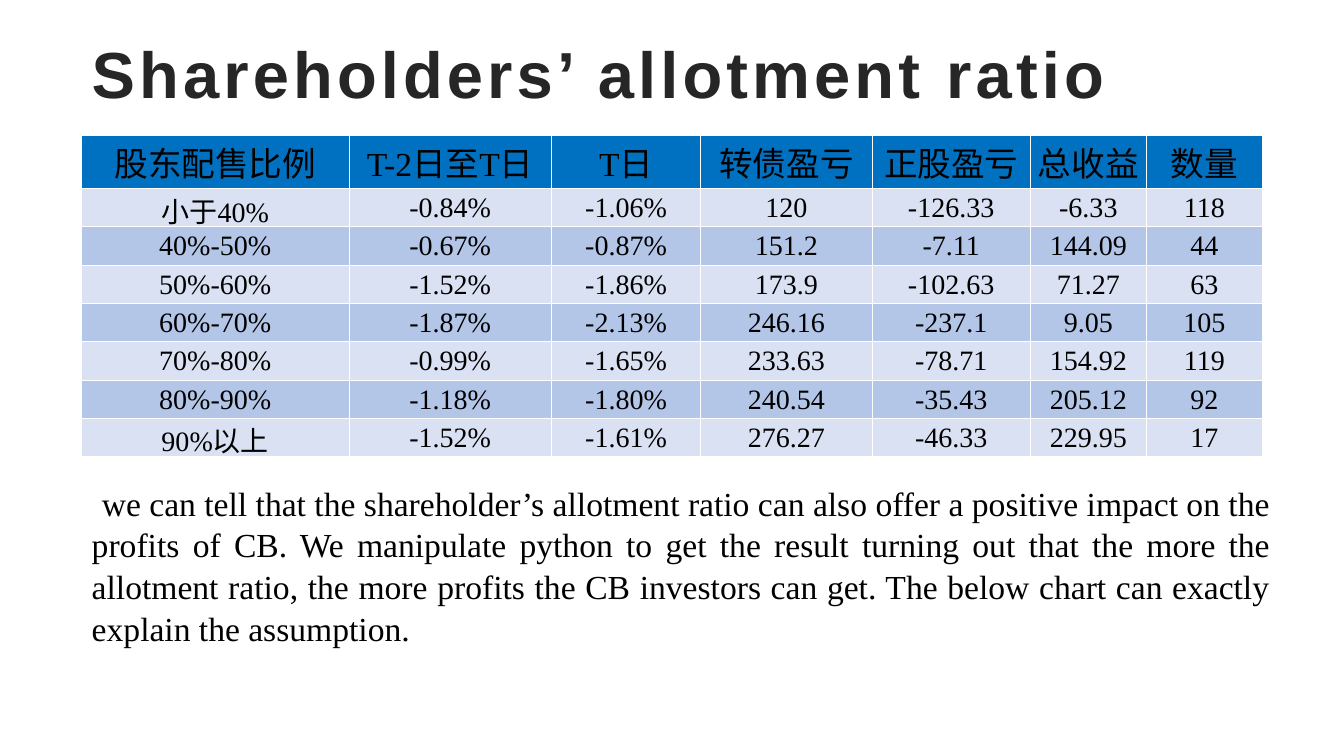
import itertools

import pptx
import pptx.dml.color
import pptx.enum.text
import pptx.oxml
import pptx.oxml.ns
import pptx.util

Inches = pptx.util.Inches
Pt = pptx.util.Pt
ALIGN = pptx.enum.text.PP_ALIGN
ANCHOR = pptx.enum.text.MSO_ANCHOR

HEADINGS = ["股东配售比例", "T-2日至T日", "T日", "转债盈亏", "正股盈亏", "总收益", "数量"]
ALLOTMENT_ROWS = [
    ["小于40%", "-0.84%", "-1.06%", "120", "-126.33", "-6.33", "118"],
    ["40%-50%", "-0.67%", "-0.87%", "151.2", "-7.11", "144.09", "44"],
    ["50%-60%", "-1.52%", "-1.86%", "173.9", "-102.63", "71.27", "63"],
    ["60%-70%", "-1.87%", "-2.13%", "246.16", "-237.1", "9.05", "105"],
    ["70%-80%", "-0.99%", "-1.65%", "233.63", "-78.71", "154.92", "119"],
    ["80%-90%", "-1.18%", "-1.80%", "240.54", "-35.43", "205.12", "92"],
    ["90%以上", "-1.52%", "-1.61%", "276.27", "-46.33", "229.95", "17"],
]
COLUMN_WIDTHS = [2.65, 2.01, 1.48, 1.7, 1.57, 1.15, 1.15]
CONCLUSION = (
    "we can tell that the shareholder’s allotment ratio can also offer a positive "
    "impact on the profits of CB. We manipulate python to get the result turning out "
    "that the more the allotment ratio, the more profits the CB investors can get. "
    "The below chart can exactly explain the assumption."
)


def color(hex_string):
    return pptx.dml.color.RGBColor.from_string(hex_string)


def make_element(xml):
    return pptx.oxml.parse_xml(xml.replace(">", " " + pptx.oxml.ns.nsdecls("a") + ">", 1))


def is_chinese(character):
    return "\u4e00" <= character <= "\u9fff"


def write_text(paragraph, text, size, font="Times New Roman", fill="000000",
               bold=False, align=ALIGN.LEFT, line_spacing=1.0, tracking=0):
    paragraph.alignment = align
    paragraph.line_spacing = line_spacing
    paragraph.space_before = Pt(0)
    for chinese, characters in itertools.groupby(text, is_chinese):
        run = paragraph.add_run()
        run.text = "".join(characters)
        run.font.size = Pt(size)
        run.font.bold = bold
        run.font.color.rgb = color(fill)
        run.font.name = SlideBuilder.chinese_font if chinese else font
        properties = run.font._element
        if chinese:
            properties.append(make_element(f'<a:ea typeface="{SlideBuilder.chinese_font}"></a:ea>'))
        if tracking:
            properties.set("spc", str(tracking * 100))


class SlideBuilder:
    chinese_font = "Noto Sans CJK SC"
    header_fill = "0070C0"
    band_fills = ["D9E1F2", "B4C6E7"]
    border = "FFFFFF"
    left = 0.81

    def __init__(self, presentation):
        self.slide = presentation.slides.add_slide(presentation.slide_layouts[1])

    def place(self, shape, top, width, height):
        shape.left, shape.top = Inches(self.left), Inches(top)
        shape.width, shape.height = Inches(width), Inches(height)

    def title(self, text):
        shape = self.slide.shapes.title
        self.place(shape, 0.38, 11.72, 0.77)
        frame = shape.text_frame
        frame.auto_size = pptx.enum.text.MSO_AUTO_SIZE.NONE
        frame.vertical_anchor = ANCHOR.BOTTOM
        write_text(frame.paragraphs[0], text, 46.5, font="Arial", fill="262626",
                   bold=True, line_spacing=0.8, tracking=3)

    def body(self, text):
        shape = self.slide.placeholders[1]
        self.place(shape, 4.72, 11.89, 1.72)
        shape.text_frame.auto_size = pptx.enum.text.MSO_AUTO_SIZE.SHAPE_TO_FIT_TEXT
        paragraph = shape.text_frame.paragraphs[0]
        properties = paragraph._p.get_or_add_pPr()
        properties.set("marL", "0")
        properties.set("indent", str(Inches(0.1)))
        properties.append(make_element("<a:buNone></a:buNone>"))
        write_text(paragraph, text, 24, align=ALIGN.JUSTIFY, line_spacing=1.04)

    def cell(self, cell, text, size, fill):
        cell.margin_left = cell.margin_top = cell.margin_right = Inches(0.01)
        cell.margin_bottom = 0
        cell.vertical_anchor = ANCHOR.MIDDLE
        properties = cell._tc.get_or_add_tcPr()
        for side in "LRTB":
            properties.append(make_element(
                f'<a:ln{side} w="{Pt(0.5)}"><a:solidFill><a:srgbClr val="{self.border}"/>'
                f"</a:solidFill></a:ln{side}>"))
        cell.fill.solid()
        cell.fill.fore_color.rgb = color(fill)
        write_text(cell.text_frame.paragraphs[0], text, size, align=ALIGN.CENTER)

    def table(self, headings, rows, widths):
        heights = [0.53] + [0.38] * len(rows)
        table = self.slide.shapes.add_table(
            len(heights), len(widths), Inches(self.left), Inches(1.34),
            Inches(sum(widths)), Inches(sum(heights))).table
        for column, width in zip(table.columns, widths):
            column.width = Inches(width)
        for index, values in enumerate([headings] + rows):
            table.rows[index].height = Inches(heights[index])
            fill = self.band_fills[(index - 1) % 2] if index else self.header_fill
            for column, value in enumerate(values):
                self.cell(table.cell(index, column), value, 20 if index else 24, fill)


def main():
    presentation = pptx.Presentation()
    presentation.slide_width = Inches(13.33)
    presentation.slide_height = Inches(7.5)
    builder = SlideBuilder(presentation)
    builder.title("Shareholders’ allotment ratio")
    builder.table(HEADINGS, ALLOTMENT_ROWS, COLUMN_WIDTHS)
    builder.body(CONCLUSION)
    presentation.save("out.pptx")


if __name__ == "__main__":
    main()
